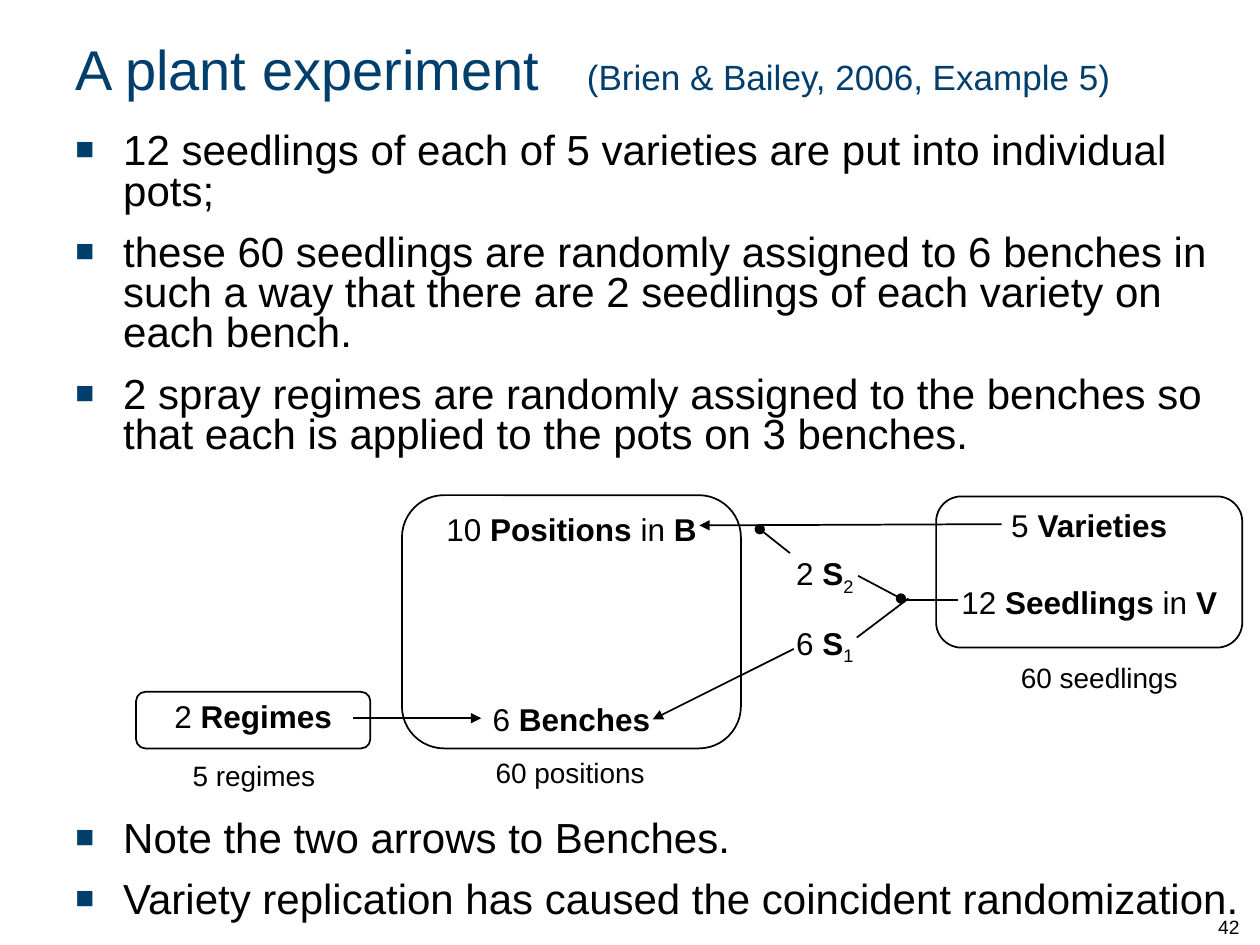
from dataclasses import dataclass
from typing import Optional

from lxml.etree import SubElement
from pptx import Presentation
from pptx.dml.color import RGBColor
from pptx.enum.shapes import MSO_CONNECTOR as Connector, MSO_SHAPE as Shape
from pptx.enum.text import MSO_ANCHOR as Anchor, PP_ALIGN as Align
from pptx.oxml.ns import qn
from pptx.util import Inches, Pt

COLUMNS, ROWS = 100, 75
FONT, BLACK, NAVY = "Arial", "000000", "003E6C"
BULLET_INDENT = 0.38
TITLE_TAB = 4.06

presentation = Presentation()
presentation.slide_width, presentation.slide_height = Inches(10), Inches(7.5)
slide = presentation.slides.add_slide(presentation.slide_layouts[6])


@dataclass(frozen=True)
class Area:
    column: float
    row: float
    width: float
    height: float


@dataclass(frozen=True)
class Run:
    text: str
    bold: bool = False
    subscript: bool = False
    size: Optional[float] = None


@dataclass(frozen=True)
class Panel:
    area: Area
    lines: tuple
    gap: float
    caption: str
    caption_area: Area


@dataclass(frozen=True)
class Link:
    start: tuple
    end: tuple
    head: str = ""
    tail: str = ""


def across(columns: float) -> int:
    return round(presentation.slide_width * columns / COLUMNS)


def down(rows: float) -> int:
    return round(presentation.slide_height * rows / ROWS)


def place(area: Area) -> tuple:
    return across(area.column), down(area.row), across(area.width), down(area.height)


def color(value: str) -> RGBColor:
    return RGBColor.from_string(value)


def add_bullet(paragraph) -> None:
    properties = paragraph._p.get_or_add_pPr()
    properties.set("marL", str(Inches(BULLET_INDENT)))
    properties.set("indent", str(-Inches(BULLET_INDENT)))
    bullet_color = SubElement(properties, qn("a:buClr"))
    SubElement(bullet_color, qn("a:srgbClr"), val=NAVY)
    SubElement(properties, qn("a:buSzPct"), val="75000")
    SubElement(properties, qn("a:buFont"), typeface=FONT)
    SubElement(properties, qn("a:buChar"), char="\u25a0")


def write(frame, lines: tuple, *, size: float, ink: str = BLACK, align=Align.LEFT,
          anchor=Anchor.TOP, bullets: bool = False, gap: float = 0,
          tab: float = 0) -> None:
    frame.word_wrap = True
    frame.vertical_anchor = anchor
    for index, runs in enumerate(lines):
        paragraph = frame.add_paragraph() if index else frame.paragraphs[0]
        paragraph.alignment = align
        if bullets:
            paragraph.line_spacing = 0.8
        if gap and (index or bullets):
            paragraph.space_before = Pt(gap)
        if bullets:
            add_bullet(paragraph)
        if tab:
            tabs = SubElement(paragraph._p.get_or_add_pPr(), qn("a:tabLst"))
            SubElement(tabs, qn("a:tab"), pos=str(Inches(tab)), algn="l")
        for part in runs:
            run = paragraph.add_run()
            run.text = part.text
            run.font.name = FONT
            run.font.size = Pt(part.size or size)
            run.font.bold = part.bold
            run.font.color.rgb = color(ink)
            if part.subscript:
                run.font._element.set("baseline", "-25000")


def add_text(area: Area, lines: tuple, **style) -> None:
    write(slide.shapes.add_textbox(*place(area)).text_frame, lines, **style)


def add_panel(panel: Panel) -> None:
    shape = slide.shapes.add_shape(Shape.ROUNDED_RECTANGLE, *place(panel.area))
    shape.shadow.inherit = False
    shape.fill.background()
    shape.line.color.rgb = color(BLACK)
    shape.line.width = Pt(1)
    frame = shape.text_frame
    frame.margin_left = frame.margin_right = Inches(0.01)
    frame.margin_top = frame.margin_bottom = Inches(0.02)
    write(frame, panel.lines, size=18, align=Align.CENTER, gap=panel.gap)
    add_text(panel.caption_area, ((Run(panel.caption),),), size=16, align=Align.CENTER)


def add_link(link: Link) -> None:
    (left, top), (right, bottom) = link.start, link.end
    connector = slide.shapes.add_connector(
        Connector.STRAIGHT, across(left), down(top), across(right), down(bottom))
    connector.line.color.rgb = color(BLACK)
    connector.line.width = Pt(1)
    outline = connector.line._get_or_add_ln()
    for name, kind in (("a:headEnd", link.head), ("a:tailEnd", link.tail)):
        if kind:
            SubElement(outline, qn(name), type=kind, w="med", len="med")
    SubElement(connector._element.spPr, qn("a:effectLst"))


def factor(count: int, name: str, parent: str = "") -> tuple:
    nesting = (Run(" in "), Run(parent, bold=True)) if parent else ()
    return (Run(f"{count} "), Run(name, bold=True), *nesting)


def pseudofactor(count: int, index: int) -> tuple:
    return (*factor(count, "S"), Run(str(index), subscript=True))


PANELS = (
    Panel(Area(31.9, 39.3, 26.9, 20.1),
          (factor(10, "Positions", "B"), factor(6, "Benches")), 87,
          "60 positions", Area(37, 59.5, 16.5, 3.7)),
    Panel(Area(74.3, 39.4, 24.3, 12),
          (factor(5, "Varieties"), factor(12, "Seedlings", "V")), 22,
          "60 seedlings", Area(79, 51.9, 16.5, 3.7)),
    Panel(Area(10.8, 54.9, 18.6, 4.5), (factor(2, "Regimes"),), 0,
          "5 regimes", Area(11.9, 59.7, 16.5, 3.7)),
)

LINKS = (
    Link((63, 51.5), (51.8, 57.1), tail="triangle"),
    Link((76, 47.6), (71.8, 47.6)),
    Link((71.5, 47.5), (68.1, 45.7), head="oval"),
    Link((72.1, 47.5), (68, 50.6)),
    Link((79.5, 41.6), (55.5, 41.7), tail="triangle"),
    Link((62.7, 43.9), (60.3, 42), tail="oval"),
    Link((28, 57), (38.2, 57), tail="triangle"),
)

BULLETS = (
    (Area(5, 10.1, 95, 26.2), (
        "12 seedlings of each of 5 varieties are put into individual pots;",
        "these 60 seedlings are randomly assigned to 6 benches in such a way "
        "that there are 2 seedlings of each variety on each bench.",
        "2 spray regimes are randomly assigned to the benches so that each is "
        "applied to the pots on 3 benches.")),
    (Area(5, 64.7, 95, 8.5), (
        "Note the two arrows to Benches.",
        "Variety replication has caused the coincident randomization.")),
)

add_text(Area(5, 1.1, 95, 8.6),
         ((Run("A plant experiment\t"), Run("(Brien & Bailey, 2006, Example 5)", size=20)),),
         size=32, ink=NAVY, anchor=Anchor.MIDDLE, tab=TITLE_TAB)
for bullet_area, sentences in BULLETS:
    add_text(bullet_area, tuple((Run(sentence),) for sentence in sentences),
             size=24, bullets=True, gap=12)
add_text(Area(95.7, 70, 4.2, 5), ((Run("42"),),), size=11, anchor=Anchor.BOTTOM)
for panel in PANELS:
    add_panel(panel)
for row, count, index in ((49, 6, 1), (43.5, 2, 2)):
    add_text(Area(62.2, row, 7.4, 4), (pseudofactor(count, index),), size=18)
for link in LINKS:
    add_link(link)

presentation.save("out.pptx")
